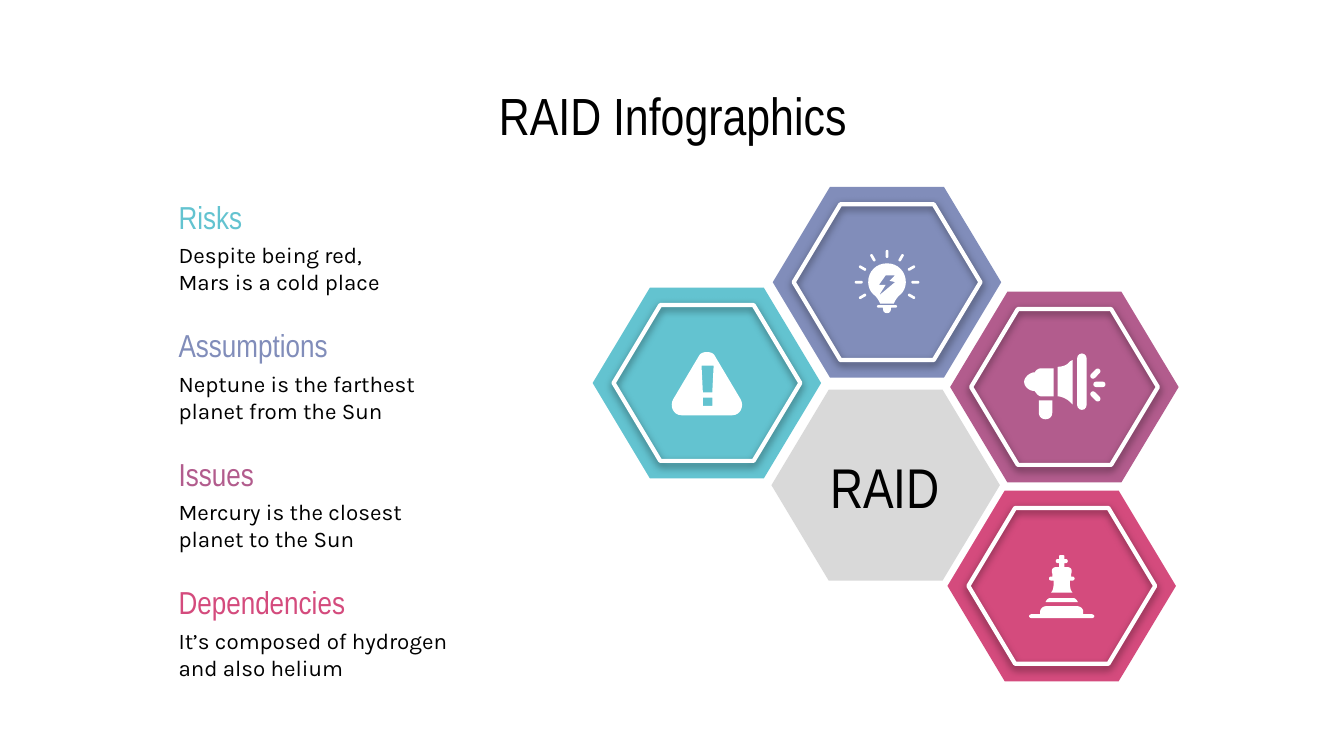
from dataclasses import dataclass
from math import cos, radians, sin

from lxml import etree
from pptx import Presentation
from pptx.dml.color import RGBColor
from pptx.enum.shapes import MSO_SHAPE
from pptx.enum.text import MSO_ANCHOR, MSO_AUTO_SIZE, PP_ALIGN
from pptx.oxml.ns import qn
from pptx.util import Inches, Pt

HEXAGON, PILL = MSO_SHAPE.HEXAGON, MSO_SHAPE.ROUNDED_RECTANGLE
MIDDLE, NO_FIT = MSO_ANCHOR.MIDDLE, MSO_AUTO_SIZE.NONE
LEFT, CENTER = PP_ALIGN.LEFT, PP_ALIGN.CENTER


@dataclass(frozen=True)
class Theme:
    teal: str = "63C3D0"
    blue: str = "818DBA"
    purple: str = "B25C8D"
    pink: str = "D44B7D"
    grey: str = "D9D9D9"
    white: str = "FFFFFF"
    black: str = "000000"
    head_font: str = "Arial Narrow"
    body_font: str = "Karla"
    title_size: int = 28
    hub_size: int = 30
    head_size: int = 17
    body_size: int = 12


T = Theme()

ITEMS = [
    ("Risks", "Despite being red,\vMars is a cold place", T.teal),
    ("Assumptions", "Neptune is the farthest planet from the Sun", T.blue),
    ("Issues", "Mercury is the closest planet to the Sun", T.purple),
    ("Dependencies", "It’s composed of hydrogen and also helium", T.pink),
]

# Icon outlines, in inches from the hexagon centre.
# Two numbers are a corner; six are a cubic curve. Halves are mirrored on x = 0.
WARNING_HALF = [(0, -.23), (.03, -.23, .05, -.22, .06, -.2), (.25, .12),
                (.28, .17, .25, .24, .19, .24)]
MARK = [(.05, -.13), (.04, .07), (-.03, .07), (-.04, -.13)]
DOT = [(.04, .11), (.04, .17), (-.03, .17), (-.03, .11)]
BULB_HALF = [(0, -.14), (.08, -.14, .14, -.08, .14, 0),
             (.14, .04, .12, .08, .09, .1), (.07, .12, .06, .14, .05, .16)]
BOLT = [(-.01, -.05), (.06, -.05), (.02, -.01), (.06, 0), (-.06, .1),
        (-.01, .02), (-.06, .02)]
CAP_HALF = [(.06, .17), (.08, .17, .08, .19, .06, .19), (.03, .19),
            (.03, .22, .02, .23, 0, .23)]
SPEAKER = [(-.17, -.14), (-.19, -.14, -.21, -.13, -.22, -.11),
           (-.26, -.11, -.3, -.07, -.3, -.04), (-.3, 0, -.26, .03, -.22, .03),
           (-.21, .05, -.19, .07, -.17, .07), (-.08, .07), (-.08, -.14)]
HANDLE = [(-.19, .1), (-.19, .19), (-.19, .22, -.17, .24, -.14, .24),
          (-.11, .24, -.09, .22, -.09, .19), (-.09, .1)]
HORN = [(.06, -.2), (.04, -.19), (.02, -.16, -.02, -.15, -.05, -.15),
        (-.05, .07), (-.02, .07, .02, .09, .04, .11), (.06, .13)]
KING_HALF = [(0, -.23), (.01, -.23, .02, -.23, .02, -.22), (.02, -.2),
             (.03, -.2), (.05, -.2, .05, -.17, .03, -.17), (.02, -.17),
             (.02, -.14), (.04, -.14), (.07, -.14, .08, -.12, .07, -.09),
             (.07, -.07), (.08, -.07), (.1, -.07, .1, -.04, .08, -.04),
             (.06, -.04), (.06, -.01, .06, .03, .08, .05)]
COLLAR_HALF = [(.08, .09), (.1, .09, .11, .1, .12, .12)]
BASE_HALF = [(.11, .15), (.14, .15, .16, .17, .16, .19), (.16, .21),
             (.22, .21), (.25, .21, .25, .24, .22, .24)]


def rgb(color):
    return RGBColor.from_string(color)


def fill_plain(sp, color):
    sp.fill.solid()
    sp.fill.fore_color.rgb = rgb(color)
    sp.line.fill.background()
    sp.shadow.inherit = False


def set_text(sp, text, font, size, color, align=LEFT):
    tf = sp.text_frame
    tf.word_wrap, tf.auto_size, tf.vertical_anchor = True, NO_FIT, MIDDLE
    tf.margin_left = tf.margin_right = Inches(0.1)
    tf.margin_top = tf.margin_bottom = Inches(0.1)
    p = tf.paragraphs[0]
    p.text, p.alignment = text, align
    for r in p.runs:
        r.font.name, r.font.size = font, Pt(size)
        r.font.color.rgb = rgb(color)


def add_text(slide, box, *style):
    set_text(slide.shapes.add_textbox(*map(Inches, box)), *style)


def add_centred(slide, kind, center, size, adjustment):
    (x, y), (w, h) = center, size
    sp = slide.shapes.add_shape(kind, Inches(x - w / 2), Inches(y - h / 2),
                                Inches(w), Inches(h))
    sp.adjustments[0] = adjustment
    return sp


def add_hexagon(slide, center, color):
    fill_plain(add_centred(slide, HEXAGON, center, (1.7, 1.42), 0.3), color)


def add_ring(slide, center):
    sp = add_centred(slide, HEXAGON, center, (1.39, 1.16), 0.3)
    sp.fill.background()
    sp.line.color.rgb, sp.line.width = rgb(T.white), Pt(2.25)
    sp.shadow.inherit = False
    effects = sp._element.spPr.find(qn("a:effectLst"))
    shadow = etree.SubElement(effects, qn("a:outerShdw"), blurRad=str(Pt(4.5)),
                              dist=str(Pt(1.5)), dir="5400000",
                              algn="bl", rotWithShape="0")
    color = etree.SubElement(shadow, qn("a:srgbClr"), val=T.black)
    etree.SubElement(color, qn("a:alpha"), val="50000")


def add_pill(slide, center, offset, size, angle=0):
    position = (center[0] + offset[0], center[1] + offset[1])
    sp = add_centred(slide, PILL, position, size, 0.5)
    sp.rotation = angle
    fill_plain(sp, T.white)


def flatten(outline, steps=8):
    """Turn corners and cubic curves into a list of points."""
    points = []
    for part in outline:
        if len(part) == 2:
            points.append(part)
            continue
        knots = [points[-1], part[:2], part[2:4], part[4:]]
        for i in range(1, steps + 1):
            t = i / steps
            weights = ((1 - t)**3, 3 * t * (1 - t)**2, 3 * t**2 * (1 - t), t**3)
            points.append(tuple(sum(w * k[axis] for w, k in zip(weights, knots))
                                for axis in (0, 1)))
    return points


def mirrored(half):
    points = flatten(half)
    return points + [(-x, y) for x, y in reversed(points)]


def add_outline(slide, center, *contours):
    """Draw a white shape; contours after the first are holes."""
    builder = None
    for contour in contours:
        start, *rest = [(Inches(center[0] + x), Inches(center[1] + y))
                        for x, y in flatten(contour)]
        if builder is None:
            builder = slide.shapes.build_freeform(*start)
        else:
            builder.move_to(*start)
        builder.add_line_segments(rest, close=True)
    fill_plain(builder.convert_to_shape(), T.white)


def draw_warning(slide, center):
    add_outline(slide, center, mirrored(WARNING_HALF), MARK, DOT)


def draw_bulb(slide, center):
    add_outline(slide, center, mirrored(BULB_HALF), BOLT)
    add_outline(slide, center, mirrored(CAP_HALF))
    for angle in range(-120, 121, 30):
        a = radians(angle)
        add_pill(slide, center, (0.21 * sin(a), -0.21 * cos(a)), (0.02, 0.06), angle)


def draw_megaphone(slide, center):
    for outline in (SPEAKER, HANDLE, HORN):
        add_outline(slide, center, outline)
    add_pill(slide, center, (0.13, -0.04), (0.07, 0.42))
    for x, y, angle in [(0.23, -0.1, -45), (0.26, -0.02, 0), (0.23, 0.07, 45)]:
        add_pill(slide, center, (x, y), (0.09, 0.04), angle)


def draw_king(slide, center):
    for half in (KING_HALF, COLLAR_HALF, BASE_HALF):
        add_outline(slide, center, mirrored(half))


def main():
    # A 16:9 slide
    prs = Presentation()
    prs.slide_width = Inches(10)
    prs.slide_height = Inches(10 * 9 / 16)
    slide = prs.slides.add_slide(prs.slide_layouts[5])

    # Title
    title = slide.shapes.title
    title.left, title.top = Inches(0.78), Inches(0.59)
    title.width, title.height = Inches(8.45), Inches(0.53)
    set_text(title, "RAID Infographics", T.head_font, T.title_size, T.black, CENTER)

    # Explanations, evenly spaced down the left
    for i, (heading, body, color) in enumerate(ITEMS):
        top = 1.45 + i * 2.87 / 3
        add_text(slide, (1.23, top, 2.22, 0.32), heading,
                 T.head_font, T.head_size, color)
        add_text(slide, (1.23, top + 0.33, 2.22, 0.43), body,
                 T.body_font, T.body_size, T.black)

    # Hub
    add_hexagon(slide, (6.59, 3.61), T.grey)
    add_text(slide, (5.89, 3.38, 1.39, 0.47), "RAID",
             T.head_font, T.hub_size, T.black, CENTER)

    # Hexagons with icons, in the order of the explanations
    centers = [(5.26, 2.85), (6.6, 2.1), (7.92, 2.88), (7.9, 4.36)]
    icons = [draw_warning, draw_bulb, draw_megaphone, draw_king]
    for (_, _, color), center, draw_icon in zip(ITEMS, centers, icons):
        add_hexagon(slide, center, color)
        draw_icon(slide, center)
        add_ring(slide, center)

    prs.save("out.pptx")


if __name__ == "__main__":
    main()
